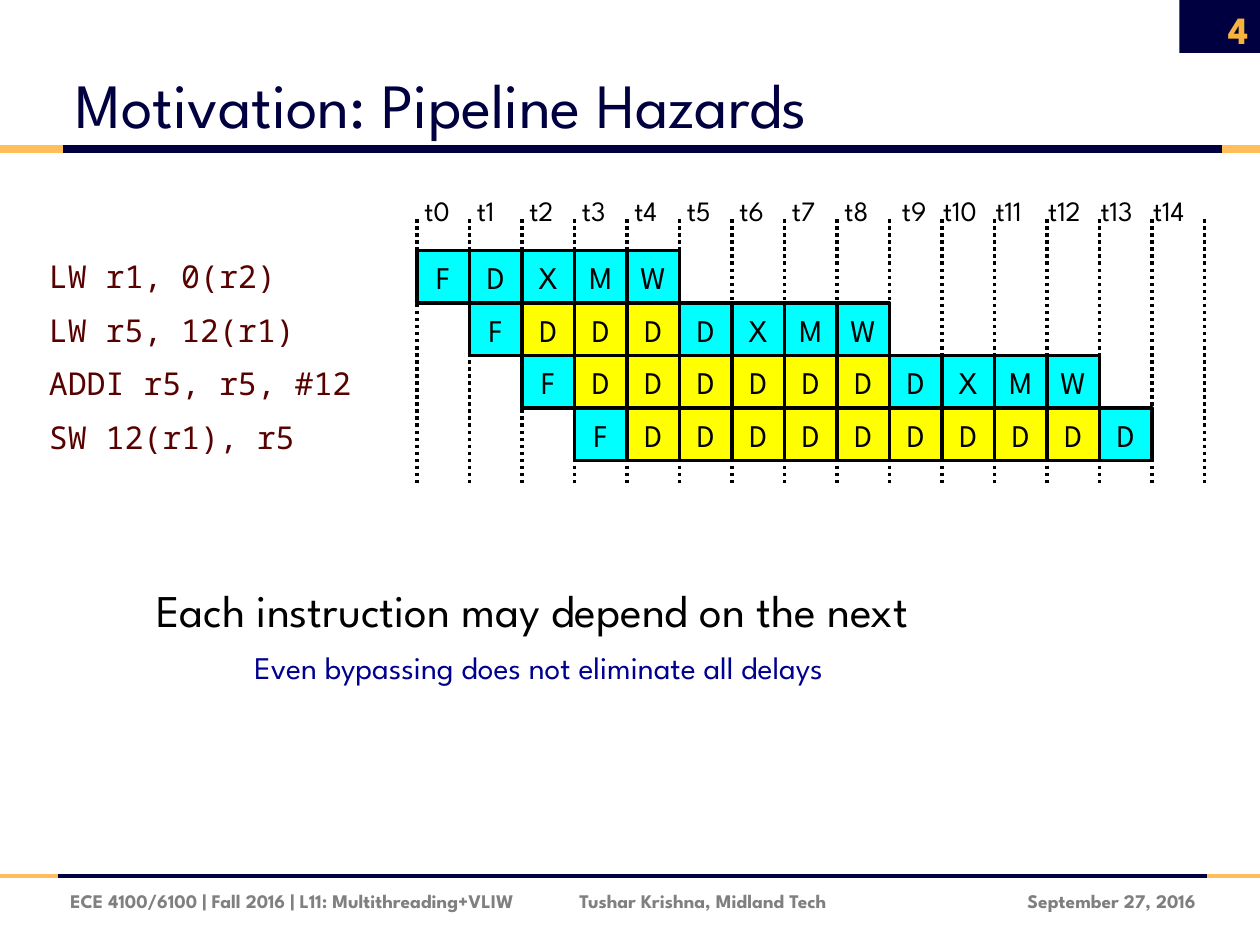
from lxml import etree
from pptx import Presentation
from pptx import util as u
from pptx.dml.color import RGBColor
from pptx.enum import dml, shapes, text
from pptx.oxml.ns import qn

WIDTH, HEIGHT = 10, 7.5
SANS, MONO = "League Spartan", "Noto Sans Mono"
NAVY, GOLD, BLACK, GREY = "000041", "FFBE5A", "000000", "808080"
ACTIVE, STALLED = "00FFFF", "FFFF00"
GRID_LEFT, GRID_TOP, STEP = 3.31, 1.99, 10 / 24
LINES_TOP, LINES_BOTTOM, LABEL_TOP = 1.74, 3.83, 1.49
CYCLES = 15
INSTRUCTIONS = ["LW r1, 0(r2)", "LW r5, 12(r1)", "ADDI r5, r5, #12", "SW 12(r1), r5"]
# Lower case marks a stalled stage.
STAGES = ["FDXMW", "FdddDXMW", "FddddddDXMW", "FdddddddddD"]


def colour(value):
    """Turn a hex string into a colour."""
    return RGBColor.from_string(value)


def column(index):
    """Return the left edge of a clock cycle."""
    return GRID_LEFT + index * STEP


def place(shape, left, top, width, height):
    """Set the position and size of a shape in inches."""
    shape.left, shape.top = u.Inches(left), u.Inches(top)
    shape.width, shape.height = u.Inches(width), u.Inches(height)


def write(para, words, size, ink, font=SANS, bold=False):
    """Add one formatted run to a paragraph."""
    span = para.add_run()
    span.text = words
    span.font.name, span.font.size, span.font.bold = font, u.Pt(size), bold
    span.font.color.rgb = colour(ink)


def add_text(page, area, lines, size, ink, font=SANS, bold=False, wrap=True,
             align=text.PP_ALIGN.LEFT, anchor=text.MSO_ANCHOR.TOP, gap=0):
    """Add a text box with one paragraph per line."""
    box = page.shapes.add_textbox(*map(u.Inches, area))
    frame = box.text_frame
    frame.word_wrap, frame.vertical_anchor = wrap, anchor
    for index, words in enumerate(lines):
        para = frame.add_paragraph() if index else frame.paragraphs[0]
        para.alignment = align
        para.space_before = u.Pt(gap if index else 0)
        write(para, words, size, ink, font, bold)


def add_line(page, start, end, ink, weight, dash=None):
    """Add a straight line without a shadow."""
    line = page.shapes.add_connector(
        shapes.MSO_CONNECTOR.STRAIGHT, *map(u.Inches, (*start, *end)))
    line.line.color.rgb, line.line.width = colour(ink), u.Pt(weight)
    if dash:
        line.line.dash_style = dash
    etree.SubElement(line._element.spPr, qn("a:effectLst"))


def add_rectangle(page, area, fill):
    """Add a plain filled rectangle."""
    box = page.shapes.add_shape(shapes.MSO_SHAPE.RECTANGLE, *map(u.Inches, area))
    box.shadow.inherit = False
    box.fill.solid()
    box.fill.fore_color.rgb = colour(fill)
    box.line.fill.background()
    return box


def add_stage(page, cycle, row, stage):
    """Add one pipeline stage to the timing grid."""
    area = (column(cycle), GRID_TOP + row * STEP, STEP, STEP)
    box = add_rectangle(page, area, STALLED if stage.islower() else ACTIVE)
    box.line.color.rgb, box.line.width = colour(BLACK), u.Pt(2)
    box.text_frame.word_wrap = False
    box.text_frame.vertical_anchor = text.MSO_ANCHOR.MIDDLE
    para = box.text_frame.paragraphs[0]
    para.alignment = text.PP_ALIGN.CENTER
    write(para, stage.upper(), 18, BLACK)


def add_rule(page, top, inner_left, inner_right, weight):
    """Add a navy rule with gold ends across the slide."""
    stops = [0, inner_left, inner_right, WIDTH]
    for left, right, ink in zip(stops, stops[1:], (GOLD, NAVY, GOLD)):
        add_line(page, (left, top), (right, top), ink, weight)


def add_frame(page):
    """Add the title, rules, page number and footer."""
    add_rectangle(page, (9.36, 0, WIDTH - 9.36, 0.42), NAVY)
    add_rule(page, 6.95, 0.46, 9.58, 2.25)
    add_rule(page, 1.18, 0.5, 9.7, 4.5)
    title = page.shapes.title
    place(title, 0.5, 0.17, 8.18, 1)
    title.text_frame.vertical_anchor = text.MSO_ANCHOR.BOTTOM
    para = title.text_frame.paragraphs[0]
    para.alignment = text.PP_ALIGN.LEFT
    write(para, "Motivation: Pipeline Hazards", 36, NAVY)
    left, right = text.PP_ALIGN.LEFT, text.PP_ALIGN.RIGHT
    for area, words, size, ink, align in (
        ((0.46, 6.95, 4, 0.4), "ECE 4100/6100 | Fall 2016 | L11: Multithreading+VLIW",
         11, GREY, left),
        ((4.5, 6.95, 3, 0.4), "Tushar Krishna, Midland Tech", 11, GREY, left),
        ((7.67, 6.95, 1.92, 0.4), "September 27, 2016", 11, "7F7F7F", right),
        ((9.34, 0.03, 0.67, 0.4), "4", 22, "F8B33C", right),
    ):
        add_text(page, area, [words], size, ink, bold=True, align=align,
                 anchor=text.MSO_ANCHOR.MIDDLE)


def add_timing(page):
    """Add the cycle lines, cycle labels and pipeline stages."""
    for cycle in range(CYCLES + 1):
        add_line(page, (column(cycle), LINES_TOP), (column(cycle), LINES_BOTTOM),
                 BLACK, 2, dml.MSO_LINE.ROUND_DOT)
    for cycle in range(CYCLES):
        shift, width = (0.04, 0.4) if cycle < 9 else (0.09, 0.52)
        shift = 0 if cycle == 9 else shift
        add_text(page, (column(cycle) - shift, LABEL_TOP, width, 0.37),
                 [f"t{cycle}"], 16, BLACK, wrap=False)
    for row, stages in enumerate(STAGES):
        for offset, stage in enumerate(stages):
            add_stage(page, row + offset, row, stage)


def main():
    """Build the slide and save it."""
    deck = Presentation()
    deck.slide_width, deck.slide_height = u.Inches(WIDTH), u.Inches(HEIGHT)
    page = deck.slides.add_slide(deck.slide_layouts[5])
    add_frame(page)
    add_text(page, (0.29, GRID_TOP, 2.63, 1.82), INSTRUCTIONS, 18, "580101",
             font=MONO, wrap=False, gap=9)
    add_timing(page)
    add_text(page, (1.14, 4.57, 7.55, 0.64),
             ["Each instruction may depend on the next"], 25.9, BLACK)
    add_text(page, (1.92, 5.09, 7, 0.64),
             ["Even bypassing does not eliminate all delays"], 18, "000090")
    deck.save("out.pptx")


if __name__ == "__main__":
    main()
